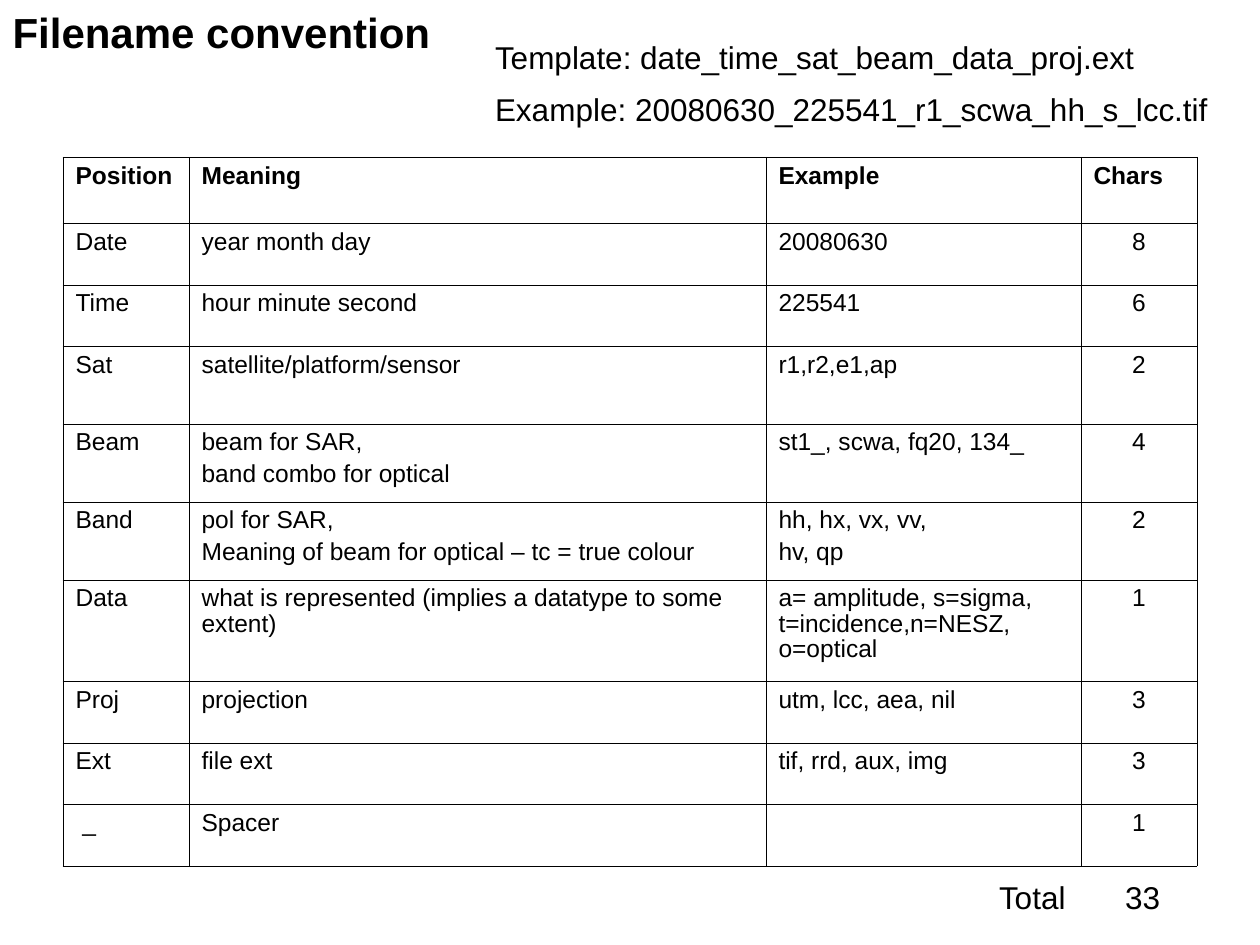
"""Build the filename convention slide."""
from dataclasses import dataclass

from lxml.etree import SubElement
from pptx import Presentation
from pptx.dml.color import RGBColor as Rgb
from pptx.enum.text import MSO_ANCHOR as Anchor, MSO_AUTO_SIZE as AutoSize, PP_ALIGN as Align
from pptx.oxml.ns import qn
from pptx.util import Cm, Pt

COLOURS = {"ink": "000000", "paper": "FFFFFF"}
FONT = "Arial"
OUTER, INNER = Pt(0.51), Pt(0.23)


@dataclass
class Caption:
    text: str
    left: float
    top: float
    width: float
    height: float = 1.02
    size: int = 18
    bold: bool = False


@dataclass
class Field:
    position: str
    meaning: str
    example: str
    chars: str
    height: float = 1.24


TITLE = Caption("Filename convention", 0, 0, 9.0, 1.27, 24, True)
CAPTIONS = [
    Caption("Template: date_time_sat_beam_data_proj.ext", 9.73, 0.64, 13.5),
    Caption("Example: 20080630_225541_r1_scwa_hh_s_lcc.tif", 9.73, 1.7, 14.95),
    Caption("Total\t33", 19.89, 17.58, 3.8),
]
COLUMN_WIDTHS = [2.54, 11.63, 6.35, 2.34]
FIELDS = [
    Field("Position", "Meaning", "Example", "Chars", 1.33),
    Field("Date", "year month day", "20080630", "8"),
    Field("Time", "hour minute second", "225541", "6"),
    Field("Sat", "satellite/platform/sensor", "r1,r2,e1,ap", "2", 1.57),
    Field("Beam", "beam for SAR,\nband combo for optical", "st1_, scwa, fq20, 134_", "4", 1.57),
    Field("Band", "pol for SAR,\nMeaning of beam for optical – tc = true colour",
          "hh, hx, vx, vv,\nhv, qp", "2", 1.57),
    Field("Data", "what is represented (implies a datatype to some extent)",
          "a= amplitude, s=sigma, t=incidence,n=NESZ, o=optical", "1", 2.05),
    Field("Proj", "projection", "utm, lcc, aea, nil", "3"),
    Field("Ext", "file ext", "tif, rrd, aux, img", "3"),
    Field(" _", "Spacer", "", "1"),
]


def add_run(paragraph, text: str, size: int, bold: bool = False) -> None:
    run = paragraph.add_run()
    run.text = text
    run.font.name = FONT
    run.font.size = Pt(size)
    run.font.bold = bold
    run.font.color.rgb = Rgb.from_string(COLOURS["ink"])


def write_caption(holder, caption: Caption) -> None:
    holder.left, holder.top = Cm(caption.left), Cm(caption.top)
    holder.width, holder.height = Cm(caption.width), Cm(caption.height)
    frame = holder.text_frame
    frame.word_wrap = False
    frame.auto_size = AutoSize.SHAPE_TO_FIT_TEXT
    frame.vertical_anchor = Anchor.TOP
    paragraph = frame.paragraphs[0]
    paragraph.alignment = Align.LEFT
    add_run(paragraph, caption.text, caption.size, caption.bold)


def add_border(cell, side: str, width: int) -> None:
    line = SubElement(cell._tc.get_or_add_tcPr(), qn(f"a:ln{side}"), w=str(width))
    fill = SubElement(line, qn("a:solidFill"))
    SubElement(fill, qn("a:srgbClr"), val=COLOURS["ink"])


def write_cell(cell, text: str, heading: bool, centred: bool) -> None:
    frame = cell.text_frame
    for index, line in enumerate(text.split("\n") if text else []):
        paragraph = frame.add_paragraph() if index else frame.paragraphs[0]
        paragraph.alignment = Align.CENTER if centred else Align.LEFT
        paragraph.line_spacing = 0.93
        paragraph.space_before = Pt(3.5)
        add_run(paragraph, line, 14, heading)


def add_fields(slide) -> None:
    last_row, last_column = len(FIELDS) - 1, len(COLUMN_WIDTHS) - 1
    table = slide.shapes.add_table(
        len(FIELDS), len(COLUMN_WIDTHS), Cm(1.27), Cm(3.17),
        Cm(sum(COLUMN_WIDTHS)), Cm(sum(field.height for field in FIELDS))).table
    table.first_row = table.horz_banding = False
    for column, width in zip(table.columns, COLUMN_WIDTHS):
        column.width = Cm(width)
    for row, field in enumerate(FIELDS):
        table.rows[row].height = Cm(field.height)
        entries = (field.position, field.meaning, field.example, field.chars)
        for column, entry in enumerate(entries):
            cell = table.cell(row, column)
            write_cell(cell, entry, row == 0, row > 0 and column == last_column)
            edges = {"L": column == 0, "R": column == last_column,
                     "T": row == 0, "B": row == last_row}
            for side, outside in edges.items():
                add_border(cell, side, OUTER if outside else INNER)
            cell.fill.background()


def build() -> None:
    deck = Presentation()
    deck.slide_width, deck.slide_height = Cm(25.4), Cm(19.05)
    slide = deck.slides.add_slide(deck.slide_layouts[5])
    slide.background.fill.solid()
    slide.background.fill.fore_color.rgb = Rgb.from_string(COLOURS["paper"])
    write_caption(slide.shapes.title, TITLE)
    add_fields(slide)
    for caption in CAPTIONS:
        write_caption(slide.shapes.add_textbox(0, 0, 0, 0), caption)
    deck.save("out.pptx")


build()
